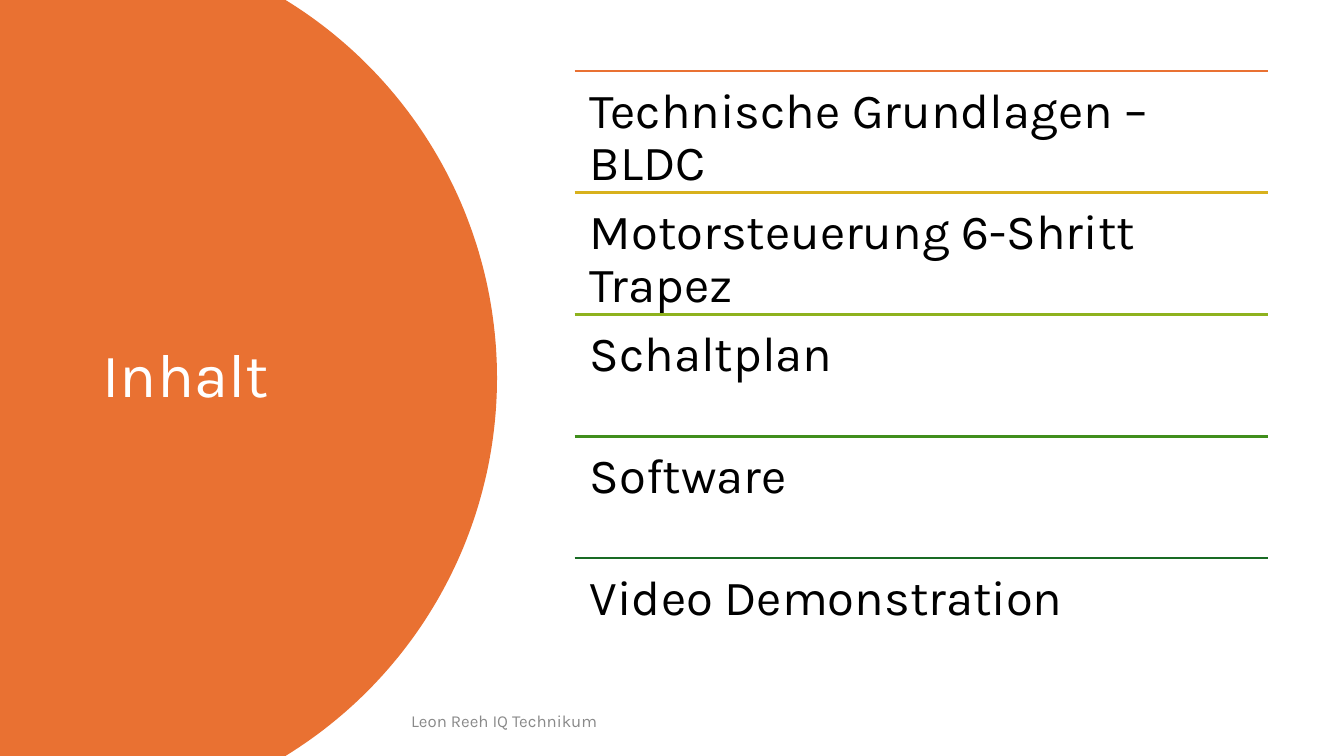
from math import asin, cos, sin

from lxml import etree
from pptx import Presentation
from pptx.dml.color import RGBColor
from pptx.enum.shapes import MSO_CONNECTOR
from pptx.enum.text import MSO_ANCHOR
from pptx.oxml.ns import qn
from pptx.util import Pt

EMU_PER_PX = 9144
SLIDE_WIDTH, SLIDE_HEIGHT = 1333, 750
FONT = "Karla"
COLOURS = {
    "orange": "E97132",
    "gold": "D8B11D",
    "lime": "8EB21E",
    "green": "408E1C",
    "forest": "196B24",
    "white": "FFFFFF",
    "black": "000000",
    "grey": "898989",
}
TOPICS = [
    ("Technische Grundlagen – BLDC", "orange"),
    ("Motorsteuerung 6-Shritt Trapez", "gold"),
    ("Schaltplan", "lime"),
    ("Software", "green"),
    ("Video Demonstration", "forest"),
]
LIST_LEFT, LIST_TOP, LIST_WIDTH, ROW_HEIGHT = 570, 70, 688, 121


def px(length):
    return round(length * EMU_PER_PX)


def rgb(colour):
    return RGBColor.from_string(COLOURS[colour])


class SlideBuilder:
    def __init__(self, slide):
        self.slide = slide

    def text(self, text, left, top, width, height, size, colour,
             anchor=MSO_ANCHOR.MIDDLE, inset_x=10, inset_y=5, line_spacing=1.0):
        box = self.slide.shapes.add_textbox(px(left), px(top), px(width), px(height))
        frame = box.text_frame
        frame.word_wrap = True
        frame.vertical_anchor = anchor
        frame.margin_left = frame.margin_right = px(inset_x)
        frame.margin_top = frame.margin_bottom = px(inset_y)
        frame.text = text
        paragraph = frame.paragraphs[0]
        paragraph.line_spacing = line_spacing
        font = paragraph.runs[0].font
        font.name = FONT
        font.size = Pt(size)
        font.color.rgb = rgb(colour)

    def rule(self, left, top, width, colour):
        line = self.slide.shapes.add_connector(
            MSO_CONNECTOR.STRAIGHT, px(left), px(top), px(left + width), px(top))
        line.line.color.rgb = rgb(colour)
        line.line.width = Pt(1.5)
        etree.SubElement(line._element.spPr, qn("a:effectLst"))

    def round_panel(self, centre_x, radius, colour, steps=120):
        """Fill the slide from its left edge to a circular arc of full slide height."""
        centre_y = SLIDE_HEIGHT / 2
        half_angle = asin(centre_y / radius)
        angles = [half_angle * (2 * step / steps - 1) for step in range(steps + 1)]
        arc = [(px(centre_x + radius * cos(angle)), px(centre_y + radius * sin(angle)))
               for angle in angles]
        builder = self.slide.shapes.build_freeform(0, 0)
        builder.add_line_segments(arc + [(0, px(SLIDE_HEIGHT))], close=True)
        shape = builder.convert_to_shape()
        shape.shadow.inherit = False
        shape.fill.solid()
        shape.fill.fore_color.rgb = rgb(colour)
        shape.line.fill.background()


def main():
    presentation = Presentation()
    presentation.slide_width = px(SLIDE_WIDTH)
    presentation.slide_height = px(SLIDE_HEIGHT)
    builder = SlideBuilder(presentation.slides.add_slide(presentation.slide_layouts[6]))

    builder.round_panel(53, 440, "orange")
    builder.text("Inhalt", 92, 70, 323, 609, 44, "white", line_spacing=0.9)
    builder.text("Leon Reeh IQ Technikum", 398, 695, 493, 40, 12, "grey")

    for row, (topic, colour) in enumerate(TOPICS):
        top = LIST_TOP + row * ROW_HEIGHT
        builder.rule(LIST_LEFT, top, LIST_WIDTH, colour)
        builder.text(topic, LIST_LEFT, top, LIST_WIDTH, ROW_HEIGHT, 35, "black",
                     anchor=MSO_ANCHOR.TOP, inset_x=15, inset_y=15, line_spacing=0.9)

    presentation.save("out.pptx")


if __name__ == "__main__":
    main()
